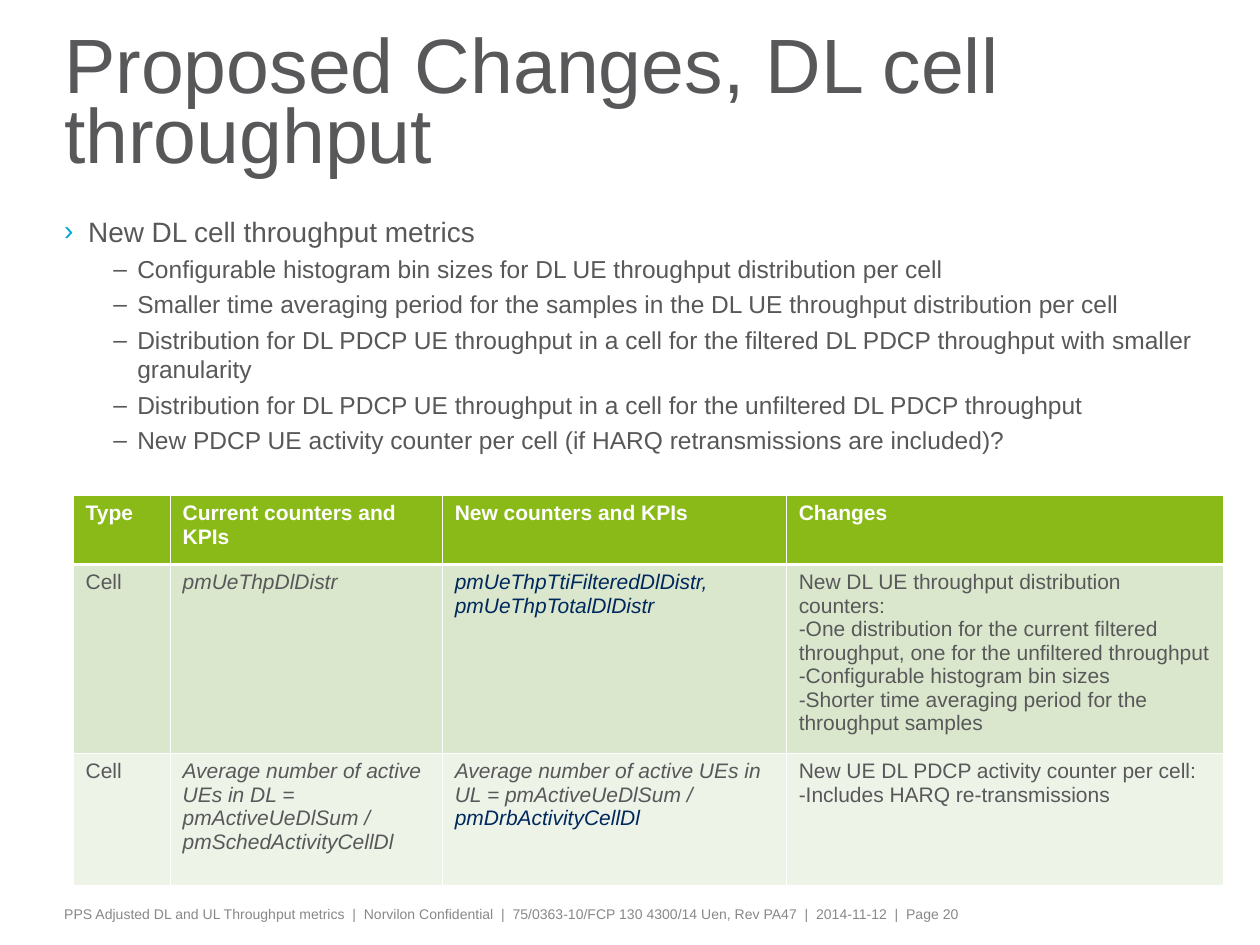
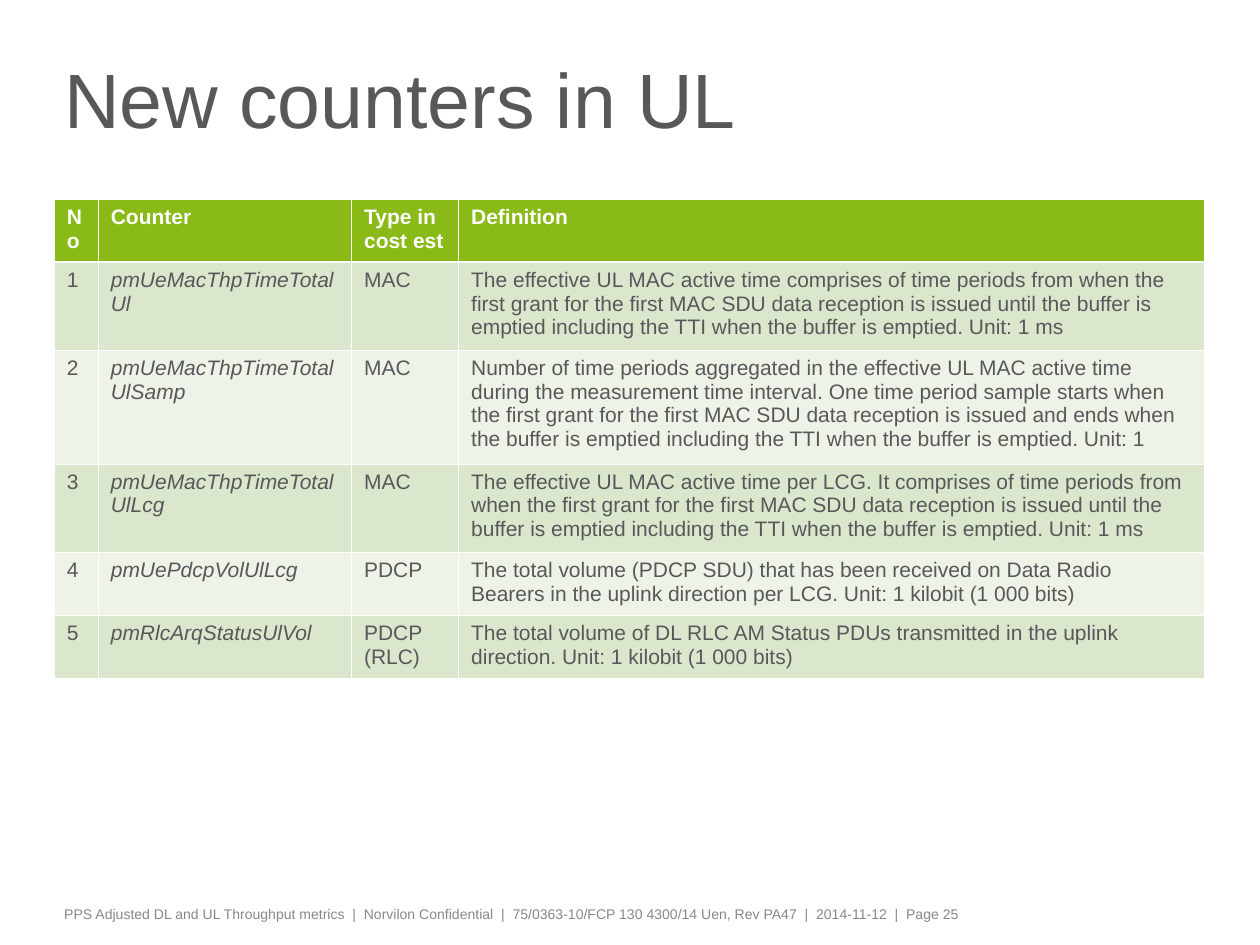
from dataclasses import dataclass
from typing import NamedTuple

from lxml.etree import SubElement
from pptx import Presentation
from pptx.dml.color import RGBColor
from pptx.enum.text import MSO_ANCHOR
from pptx.oxml.ns import qn
from pptx.util import Inches, Pt

WIDE, HIGH = Inches(10), Inches(7.5)
FACE = "Arial"
GREY = RGBColor(0x58, 0x58, 0x5A)
PALE = RGBColor(0x87, 0x88, 0x8A)
NAVY = RGBColor(0x00, 0x28, 0x5E)
CYAN = RGBColor(0x00, 0xA9, 0xD4)
WHITE = RGBColor(0xFF, 0xFF, 0xFF)
GREEN = RGBColor(0x89, 0xBA, 0x17)
BANDS = (RGBColor(0xDA, 0xE7, 0xCC), RGBColor(0xED, 0xF3, 0xE7))
THIN, THICK = Pt(0.45), Pt(1.47)


class Box(NamedTuple):
    """A place on the slide, in percent of its width and height."""
    left: float
    top: float
    width: float
    height: float


class Span(NamedTuple):
    text: str
    ink: RGBColor = GREY


class Point(NamedTuple):
    """The look of one bullet level."""
    mark: str
    ink: RGBColor
    size: int
    indent: float
    before: float


@dataclass
class Sheet:
    """A table: columns in percent of slide width, rows of its height."""
    left: float
    top: float
    cols: list
    rows: list
    slant: set
    cells: list


TITLE = Box(4.3, 3.47, 82, 15.87)
FOOT = Box(4.3, 95.2, 80.9, 3.2)
BODY = Box(4.3, 22.67, 91.3, 26.27)
LEVELS = (Point("›", CYAN, 16, 0.19, 4), Point("–", GREY, 14, 0.58, 3.5))
FOOTER = ("PPS Adjusted DL and UL Throughput metrics  |  Norvilon Confidential  |  "
          "75/0363-10/FCP 130 4300/14 Uen, Rev PA47  |  2014-11-12  |  Page {}")

POINTS = [
    (0, "New DL cell throughput metrics"),
    (1, "Configurable histogram bin sizes for DL UE throughput distribution per cell"),
    (1, "Smaller time averaging period for the samples in the DL UE throughput "
        "distribution per cell"),
    (1, "Distribution for DL PDCP UE throughput in a cell for the filtered DL PDCP "
        "throughput with smaller granularity"),
    (1, "Distribution for DL PDCP UE throughput in a cell for the unfiltered DL PDCP "
        "throughput"),
    (1, "New PDCP UE activity counter per cell (if HARQ retransmissions are included)?"),
]

CHANGES = Sheet(
    5.8, 52.4, [7.7, 21.6, 27.3, 34.7], [7.33, 20, 14], {1, 2},
    [["Type", "Current counters and KPIs", "New counters and KPIs", "Changes"],
     ["Cell", "pmUeThpDlDistr",
      [[Span("pmUeThpTtiFilteredDlDistr, pmUeThpTotalDlDistr", NAVY)]],
      "New DL UE throughput distribution counters:\n"
      "-One distribution for the current filtered throughput, "
      "one for the unfiltered throughput\n"
      "-Configurable histogram bin sizes\n"
      "-Shorter time averaging period for the throughput samples"],
     ["Cell",
      "Average number of active UEs in DL = pmActiveUeDlSum / pmSchedActivityCellDl",
      [[Span("Average number of active UEs in UL = pmActiveUeDlSum / "),
        Span("pmDrbActivityCellDl", NAVY)]],
      "New UE DL PDCP activity counter per cell:\n-Includes HARQ re-transmissions"]])

COUNTERS = Sheet(
    4.3, 21.07, [3.5, 20.1, 8.5, 59.2], [6.67, 9.33, 12, 9.33, 6.67, 6.67], {1},
    [["No", "Counter", "Type in cost est", "Definition"],
     ["1", "pmUeMacThpTimeTotalUl", "MAC",
      "The effective UL MAC active time comprises of time periods from when the first "
      "grant for the first MAC SDU data reception is issued until the buffer is emptied "
      "including the TTI when the buffer is emptied. Unit: 1 ms"],
     ["2", "pmUeMacThpTimeTotalUlSamp", "MAC",
      "Number of time periods aggregated in the effective UL MAC active time during the "
      "measurement time interval. One time period sample starts when the first grant for "
      "the first MAC SDU data reception is issued and ends when the buffer is emptied "
      "including the TTI when the buffer is emptied. Unit: 1"],
     ["3", "pmUeMacThpTimeTotalUlLcg", "MAC",
      "The effective UL MAC active time per LCG. It comprises of time periods from when "
      "the first grant for the first MAC SDU data reception is issued until the buffer is "
      "emptied including the TTI when the buffer is emptied. Unit: 1 ms"],
     ["4", "pmUePdcpVolUlLcg", "PDCP",
      "The total volume (PDCP SDU) that has been received on Data Radio Bearers in the "
      "uplink direction per LCG. Unit: 1 kilobit (1 000 bits)"],
     ["5", "pmRlcArqStatusUlVol", "PDCP (RLC)",
      "The total volume of DL RLC AM Status PDUs transmitted in the uplink direction. "
      "Unit: 1 kilobit (1 000 bits)"]])


def across(share: float) -> int:
    return round(WIDE * share / 100)


def down(share: float) -> int:
    return round(HIGH * share / 100)


def assign(item, looks: dict) -> None:
    for name, value in looks.items():
        setattr(item, name, value)


def write(para, text: str, ink: RGBColor, size: int, **looks) -> None:
    run = para.add_run()
    run.text = text
    run.font.color.rgb = ink
    assign(run.font, {"name": FACE, "size": Pt(size), **looks})


def frame(slide, box: Box, pad: float = 0, **looks):
    """Add an empty wrapped text box and return its text frame."""
    area = slide.shapes.add_textbox(across(box.left), down(box.top),
                                    across(box.width), down(box.height)).text_frame
    side, edge = Inches(0.08), Inches(pad)
    assign(area, {"word_wrap": True, "margin_left": side, "margin_right": side,
                  "margin_top": edge, "margin_bottom": edge, **looks})
    return area


def bullet(para, point: Point) -> None:
    props = para._p.get_or_add_pPr()
    props.set("marL", str(Inches(point.indent)))
    props.set("indent", str(-Inches(0.19)))
    tint = SubElement(props, qn("a:buClr"))
    SubElement(tint, qn("a:srgbClr"), val=str(point.ink))
    SubElement(props, qn("a:buFont"), typeface=FACE)
    SubElement(props, qn("a:buChar"), char=point.mark)


def outline(cell, row: int) -> None:
    """Rule a cell in white, with a thick line under the head row."""
    props = cell._tc.get_or_add_tcPr()
    sides = {"L": THIN, "R": THIN, "T": THICK if row == 1 else THIN,
             "B": THICK if row == 0 else THIN}
    for place, (side, width) in enumerate(sides.items()):
        line = SubElement(props, qn(f"a:ln{side}"), w=str(width))
        fill = SubElement(line, qn("a:solidFill"))
        SubElement(fill, qn("a:srgbClr"), val=str(WHITE))
        props.insert(place, line)


def fill(cell, text, row: int, slant: bool) -> None:
    head = row == 0
    cell.fill.solid()
    cell.fill.fore_color.rgb = GREEN if head else BANDS[(row - 1) % 2]
    outline(cell, row)
    if isinstance(text, str):
        text = [[Span(part, WHITE if head else GREY)] for part in text.split("\n")]
    area = cell.text_frame
    for index, spans in enumerate(text):
        para = area.add_paragraph() if index else area.paragraphs[0]
        for span in spans:
            write(para, span.text, span.ink, 12, bold=head, italic=slant and not head)


def grid(slide, sheet: Sheet) -> None:
    table = slide.shapes.add_table(
        len(sheet.rows), len(sheet.cols), across(sheet.left), down(sheet.top),
        across(sum(sheet.cols)), down(sum(sheet.rows))).table
    for col, share in zip(table.columns, sheet.cols):
        col.width = across(share)
    for row, share in zip(table.rows, sheet.rows):
        row.height = down(share)
    for row, line in enumerate(sheet.cells):
        for col, text in enumerate(line):
            fill(table.cell(row, col), text, row, col in sheet.slant)


def listing(slide, points: list) -> None:
    area = frame(slide, BODY)
    for index, (level, text) in enumerate(points):
        para = area.add_paragraph() if index else area.paragraphs[0]
        point = LEVELS[level]
        para.level = level
        if index:
            para.space_before = Pt(point.before)
        bullet(para, point)
        write(para, text, point.ink if level else GREY, point.size)


def page(deck, title: str, number: int, sheet: Sheet):
    """Add a slide with title, table and footer."""
    slide = deck.slides.add_slide(deck.slide_layouts[6])
    write(frame(slide, FOOT, 0.05).paragraphs[0], FOOTER.format(number), PALE, 8)
    para = frame(slide, TITLE, vertical_anchor=MSO_ANCHOR.MIDDLE).paragraphs[0]
    para.line_spacing = 0.75
    write(para, title, GREY, 44)
    grid(slide, sheet)
    return slide


def main() -> None:
    deck = Presentation()
    assign(deck, {"slide_width": WIDE, "slide_height": HIGH})
    listing(page(deck, "Proposed Changes, DL cell throughput", 20, CHANGES), POINTS)
    page(deck, "New counters in UL", 25, COUNTERS)
    deck.save("out.pptx")


if __name__ == "__main__":
    main()
